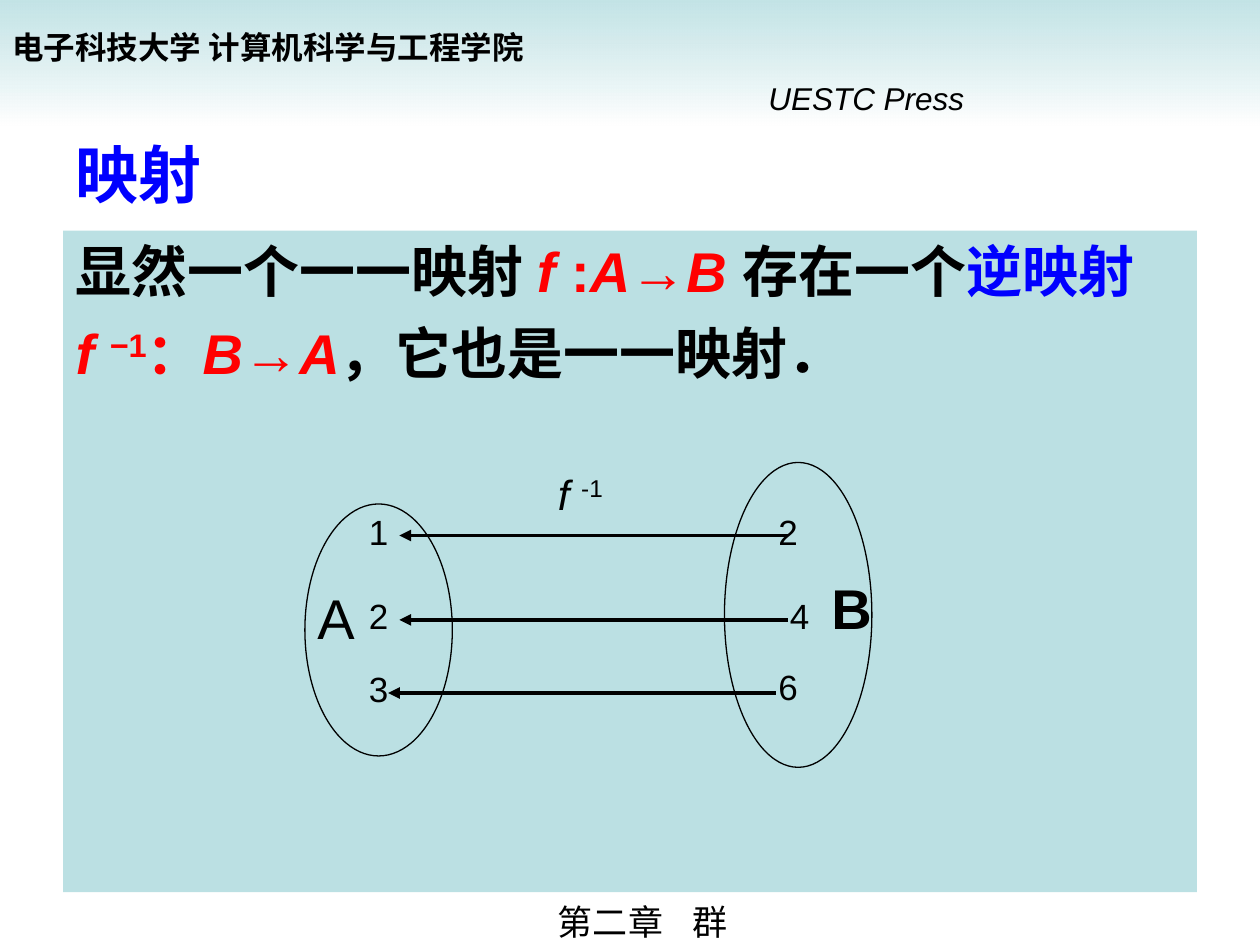
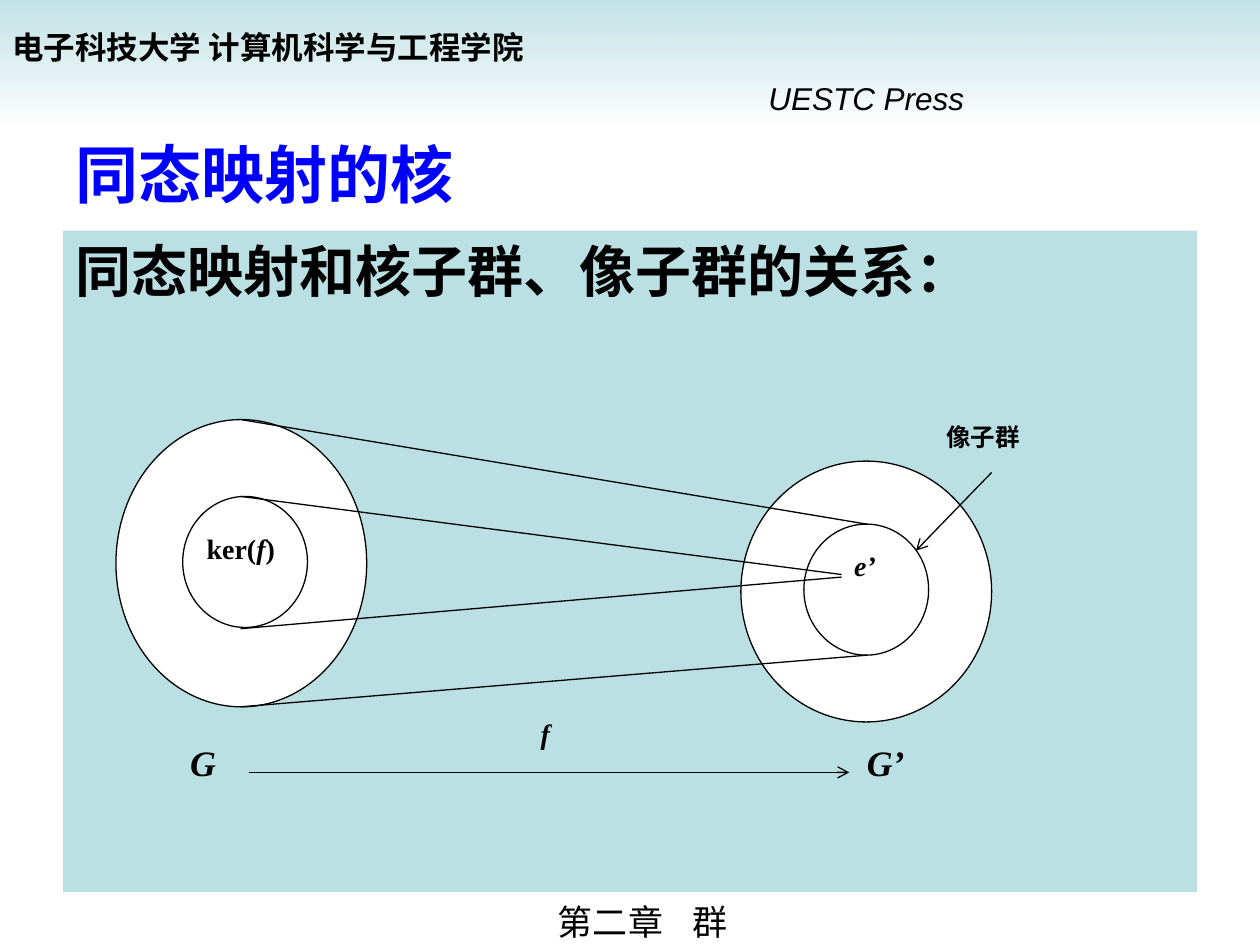
from dataclasses import dataclass

from lxml import etree
from pptx import Presentation
from pptx.dml.color import RGBColor
from pptx.enum.lang import MSO_LANGUAGE_ID
from pptx.enum.shapes import MSO_CONNECTOR, MSO_SHAPE
from pptx.enum.text import MSO_ANCHOR, MSO_AUTO_SIZE, PP_ALIGN
from pptx.oxml.ns import qn
from pptx.util import Inches, Pt

LEFT = PP_ALIGN.LEFT
TOP, MIDDLE = MSO_ANCHOR.TOP, MSO_ANCHOR.MIDDLE
FIXED, GROW = MSO_AUTO_SIZE.NONE, MSO_AUTO_SIZE.SHAPE_TO_FIT_TEXT
OVAL, RECT = MSO_SHAPE.OVAL, MSO_SHAPE.RECTANGLE
LINE = MSO_CONNECTOR.STRAIGHT
CHINESE = MSO_LANGUAGE_ID.SIMPLIFIED_CHINESE


@dataclass(frozen=True)
class Theme:
    ink: str = "000000"
    blue: str = "0000FF"
    red: str = "FF0000"
    panel: str = "BBE0E3"
    white: str = "FFFFFF"
    sans: str = "Arial"
    serif: str = "Times New Roman"
    title: float = 36
    body: float = 32
    func: float = 24
    sign: float = 20.4
    item: float = 20
    head: float = 18
    math: float = 16
    note: float = 14
    thin: float = 0.75
    thick: float = 2.25


T = Theme()


@dataclass(frozen=True)
class Box:
    x: float
    y: float
    w: float
    h: float

    def inner(self, x, y, w, h):
        return Box(self.x + x, self.y + y, w, h)

    def size(self):
        return [Inches(v) for v in (self.x, self.y, self.w, self.h)]


PAGE = Box(0, 0, 10, 7.5)
TITLE = Box(0.5, 1, 9, 0.75)
PANEL = Box(0.5, 1.83, 9, 5.25)


def color(code):
    return RGBColor.from_string(code)


# Text: a run is (text, marks, colour); marks are b, i and ^ for superscript
def add_runs(para, runs, size, font=T.sans):
    para.alignment = LEFT
    for text, marks, code in runs:
        run = para.add_run()
        run.text = text
        face = run.font
        face.name, face.size = font, Pt(size)
        face.bold, face.italic = "b" in marks, "i" in marks
        face.color.rgb = color(code)
        face.language_id = CHINESE
        if "^" in marks:
            run._r.get_or_add_rPr().set("baseline", "30000")


def add_label(slide, box, runs, size, font=T.sans):
    shape = slide.shapes.add_textbox(*box.size())
    frame = shape.text_frame
    frame.word_wrap = True
    if font == T.serif:
        frame.auto_size = FIXED
        frame.margin_left = frame.margin_top = 0
    else:
        frame.auto_size = GROW
    add_runs(frame.paragraphs[0], runs, size, font)
    return shape


def add_oval(slide, box, fill=None):
    oval = slide.shapes.add_shape(OVAL, *box.size())
    oval.shadow.inherit = False
    if fill:
        oval.fill.solid()
        oval.fill.fore_color.rgb = color(fill)
    else:
        oval.fill.background()
    oval.line.color.rgb = color(T.ink)
    oval.line.width = Pt(T.thin)


def add_line(slide, box, start, stop, width=T.thin, end=None, tip="arrow"):
    (x1, y1), (x2, y2) = start, stop
    line = slide.shapes.add_connector(
        LINE, Inches(box.x + x1), Inches(box.y + y1),
        Inches(box.x + x2), Inches(box.y + y2))
    line.line.color.rgb = color(T.ink)
    line.line.width = Pt(width)
    props = line.element.spPr
    if end:
        etree.SubElement(props.find(qn("a:ln")), qn(end), type=tip)
    etree.SubElement(props, qn("a:effectLst"))


# Shared band, header and footer, kept on the layout
def add_frame(slide, layout, box):
    band = slide.shapes.add_shape(RECT, *box.inner(0, 0, box.w, 1).size())
    band.shadow.inherit = False
    band.line.fill.background()
    band.fill.gradient()
    band.fill.gradient_angle = 270
    for stop, code, place in zip(band.fill.gradient_stops,
                                 (T.panel, T.white), (0, 1)):
        stop.color.rgb = color(code)
        stop.position = place
    tint = next(band.element.iter(qn("a:srgbClr")))
    etree.SubElement(tint, qn("a:alpha"), val="87000")

    school = add_label(slide, box.inner(0, 0.17, 6.5, 0.4),
                       [("电子科技大学 计算机科学与工程学院", "b", T.ink)], T.head)
    press = add_label(slide, box.inner(6, 0.58, 3.5, 0.4),
                      [("UESTC Press", "i", T.ink)], T.head)
    foot = add_label(slide, box.inner(4.33, 7.1, 1.83, 0.44),
                     [("第二章\t群", "", T.ink)], T.item)
    props = foot.text_frame.paragraphs[0]._p.get_or_add_pPr()
    tabs = etree.SubElement(props, qn("a:tabLst"))
    etree.SubElement(tabs, qn("a:tab"), pos=str(Inches(1.07)), algn="l")

    tree = layout.shapes.element
    for shape in (band, school, press, foot):
        tree.append(shape.element)


# Title and panel text
def place(holder, box, anchor):
    holder.left, holder.top, holder.width, holder.height = box.size()
    frame = holder.text_frame
    frame.auto_size = FIXED
    frame.vertical_anchor = anchor
    return frame


def add_head(slide, title, lines):
    head = place(slide.shapes.title, TITLE, MIDDLE)
    add_runs(head.paragraphs[0], [(title, "b", T.blue)], T.title)

    body = slide.placeholders[1]
    frame = place(body, PANEL, TOP)
    body.fill.solid()
    body.fill.fore_color.rgb = color(T.panel)
    for n, runs in enumerate(lines):
        para = frame.add_paragraph() if n else frame.paragraphs[0]
        para.space_before = Pt(8 if n else 0)
        props = para._p.get_or_add_pPr()
        props.set("marL", "0")
        props.set("indent", "0")
        etree.SubElement(props, qn("a:buNone"))
        add_runs(para, runs, T.body)


# Inverse mapping between the sets A and B
def draw_sets(slide, box):
    add_oval(slide, box.inner(0, 0.33, 1.17, 2))
    add_oval(slide, box.inner(3.33, 0, 1.17, 2.42))
    add_label(slide, box.inner(0, 0.91, 0.67, 0.64),
              [("A", "", T.ink)], T.body)
    add_label(slide, box.inner(4.08, 0.83, 0.67, 0.64),
              [("B", "b", T.ink)], T.body)
    for x, y in ((0.75, 0.58), (0.75, 1.25), (0.66, 1.83)):
        add_line(slide, box, (x, y), (x + 3.08, y), T.thick,
                 "a:headEnd", "triangle")
    items = (("1", 0.41, 0.33), ("2", 0.41, 1), ("3", 0.41, 1.58),
             ("2", 3.66, 0.33), ("4", 3.75, 1), ("6", 3.66, 1.56))
    for text, x, y in items:
        add_label(slide, box.inner(x, y, 0.33, 0.44),
                  [(text, "", T.ink)], T.item)
    add_label(slide, box.inner(1.91, 0, 0.67, 0.5),
              [("f ", "i", T.ink), ("-1", "^", T.ink)], T.func)


# Kernel and image of a homomorphism from G to G’
def draw_kernel(slide, box):
    ovals = ((0, 0, 1.99, 2.28), (0.53, 0.61, 0.99, 1.04),
             (4.96, 0.33, 1.99, 2.07), (5.46, 0.83, 0.99, 1.04))
    for oval in ovals:
        add_oval(slide, box.inner(*oval), T.white)

    # Rays from G and its kernel to the image and its unit
    rays = ((0, 5.96, 0.83), (2.28, 5.96, 1.87),
            (0.61, 5.76, 1.23), (1.66, 5.76, 1.25))
    for y, x2, y2 in rays:
        add_line(slide, box, (0.99, y), (x2, y2))
    for start, stop in (((6.95, 0.42), (6.35, 1.04)),
                        ((1.06, 2.8), (5.82, 2.8))):
        add_line(slide, box, start, stop, end="a:tailEnd")

    add_label(slide, box.inner(0.72, 0.89, 0.99, 0.62),
              [("ker(", "b", T.ink), ("f", "bi", T.ink), (")", "b", T.ink)],
              T.math, T.serif)
    add_label(slide, box.inner(6.59, 0.02, 0.99, 0.41),
              [("像子群", "b", T.ink)], T.note, T.serif)
    signs = (("e’", 5.86, 1.02, 0.5, 0.43, T.math, 1),
             ("f", 3.37, 2.36, 0.79, 0.62, T.math, 1),
             ("G", 0.59, 2.59, 0.79, 0.41, T.sign, 0.9),
             ("G’", 5.96, 2.59, 0.79, 0.41, T.sign, 0.9))
    for text, x, y, w, h, size, lead in signs:
        label = add_label(slide, box.inner(x, y, w, h),
                          [(text, "bi", T.ink)], size, T.serif)
        label.text_frame.paragraphs[0].line_spacing = lead


def main():
    deck = Presentation()
    deck.slide_width, deck.slide_height = Inches(PAGE.w), Inches(PAGE.h)
    layout = deck.slide_layouts[1]

    first = deck.slides.add_slide(layout)
    add_frame(first, layout, PAGE)
    add_head(first, "映射", [
        [("显然一个一一映射 ", "b", T.ink), ("f ", "bi", T.red),
         (":", "b", T.red), ("A", "bi", T.red), ("→", "b", T.red),
         ("B ", "bi", T.red), ("存在一个", "b", T.ink),
         ("逆映射", "b", T.blue)],
        [("f ", "bi", T.red), ("−1", "b^", T.red), ("：", "b", T.red),
         ("B", "bi", T.red), ("→", "b", T.red), ("A", "bi", T.red),
         ("，它也是一一映射．", "b", T.ink)]])
    draw_sets(first, PANEL.inner(1.92, 1.84, 4.75, 2.42))

    second = deck.slides.add_slide(layout)
    add_head(second, "同态映射的核",
             [[("同态映射和核子群、像子群的关系：", "b", T.ink)]])
    draw_kernel(second, PANEL.inner(0.42, 1.5, 7.58, 3))

    deck.save("out.pptx")


if __name__ == "__main__":
    main()
